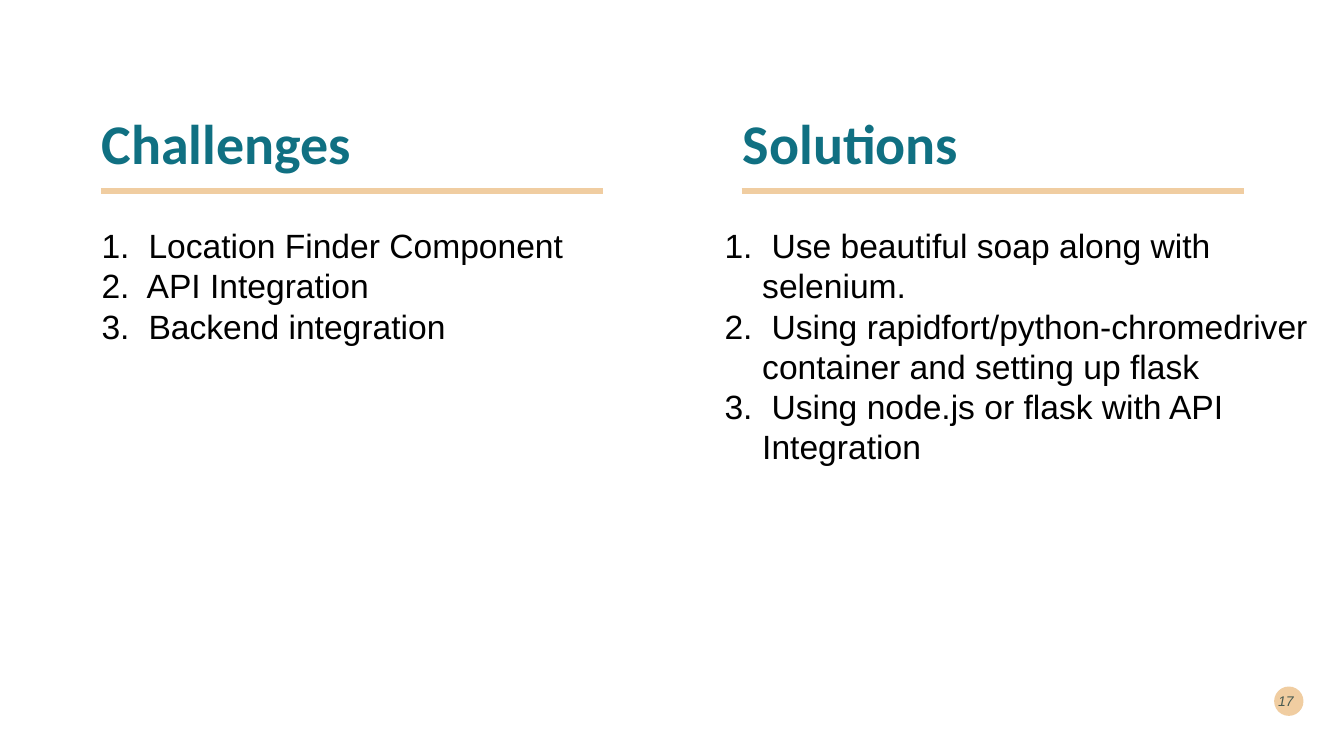
from lxml.etree import SubElement
from pptx import Presentation
from pptx.dml.color import RGBColor
from pptx.enum.shapes import MSO_CONNECTOR, MSO_SHAPE
from pptx.enum.text import MSO_ANCHOR, PP_ALIGN
from pptx.oxml.ns import qn
from pptx.util import Cm, Pt

COLORS = {"teal": "107082", "sand": "F0CDA1", "ink": "00292E", "black": "000000"}


class Deck:
    """Holds the slide and its style, and draws each kind of element."""

    def __init__(self, prs):
        self.slide = prs.slides.add_slide(prs.slide_layouts[6])
        self.heading_font = "Calibri"
        self.body_font = "Arial"

    def color(self, name):
        return RGBColor.from_string(COLORS[name])

    def box(self, x, y, w, h, anchor):
        sp = self.slide.shapes.add_textbox(Cm(x), Cm(y), Cm(w), Cm(h))
        tf = sp.text_frame
        tf.word_wrap = True
        tf.vertical_anchor = anchor
        return tf

    def style(self, p, name, size, color, bold=False, italic=False):
        for r in p.runs:
            r.font.name = name
            r.font.size = Pt(size)
            r.font.bold = bold
            r.font.italic = italic
            r.font.color.rgb = self.color(color)

    def heading(self, text, x):
        tf = self.box(x, 2.51, 14.02, 2.06, MSO_ANCHOR.BOTTOM)
        tf.text = text
        p = tf.paragraphs[0]
        p.line_spacing = 0.9
        self.style(p, self.heading_font, 40, "teal", bold=True)

    def rule(self, x):
        y = Cm(4.81)
        ln = self.slide.shapes.add_connector(
            MSO_CONNECTOR.STRAIGHT, Cm(x), y, Cm(x + 12.65), y)
        ln.line.color.rgb = self.color("sand")
        ln.line.width = Pt(4.32)
        SubElement(ln._element.spPr, qn("a:effectLst"))

    def numbered_list(self, items, x, w, h):
        tf = self.box(x, 5.54, w, h, MSO_ANCHOR.TOP)
        tf.text = "\n".join(f" {item}" for item in items)
        for p in tf.paragraphs:
            pPr = p._p.get_or_add_pPr()
            pPr.set("marL", str(Cm(0.95)))
            pPr.set("indent", str(-Cm(0.95)))
            SubElement(pPr, qn("a:buFont"), typeface=self.body_font)
            SubElement(pPr, qn("a:buAutoNum"), type="arabicPeriod")
            self.style(p, self.body_font, 24, "black")

    def page_number(self, text):
        sp = self.slide.shapes.add_shape(
            MSO_SHAPE.OVAL, Cm(32.11), Cm(17.3), Cm(0.74), Cm(0.74))
        sp.shadow.inherit = False
        sp.fill.solid()
        sp.fill.fore_color.rgb = self.color("sand")
        sp.line.fill.background()
        tf = self.box(31.85, 17.15, 1, 1.02, MSO_ANCHOR.MIDDLE)
        tf.text = text
        p = tf.paragraphs[0]
        p.alignment = PP_ALIGN.RIGHT
        self.style(p, self.body_font, 10, "ink", italic=True)
        for clr in p._p.iter(qn("a:srgbClr")):
            SubElement(clr, qn("a:alpha"), val="70000")


def main():
    prs = Presentation()
    prs.slide_width, prs.slide_height = Cm(33.87), Cm(19.05)
    s = Deck(prs)
    s.page_number("17")

    s.heading("Challenges", 2.31)
    s.rule(2.54)
    s.numbered_list([
        "Location Finder Component",
        "API Integration",
        "Backend integration",
    ], 2.31, 13.72, 3.33)

    s.heading("Solutions", 18.47)
    s.rule(18.69)
    s.numbered_list([
        "Use beautiful soap along with selenium.",
        "Using rapidfort/python-chromedriver container and setting up flask",
        "Using node.js or flask with API Integration",
    ], 18.01, 15.86, 6.4)

    prs.save("out.pptx")


if __name__ == "__main__":
    main()
